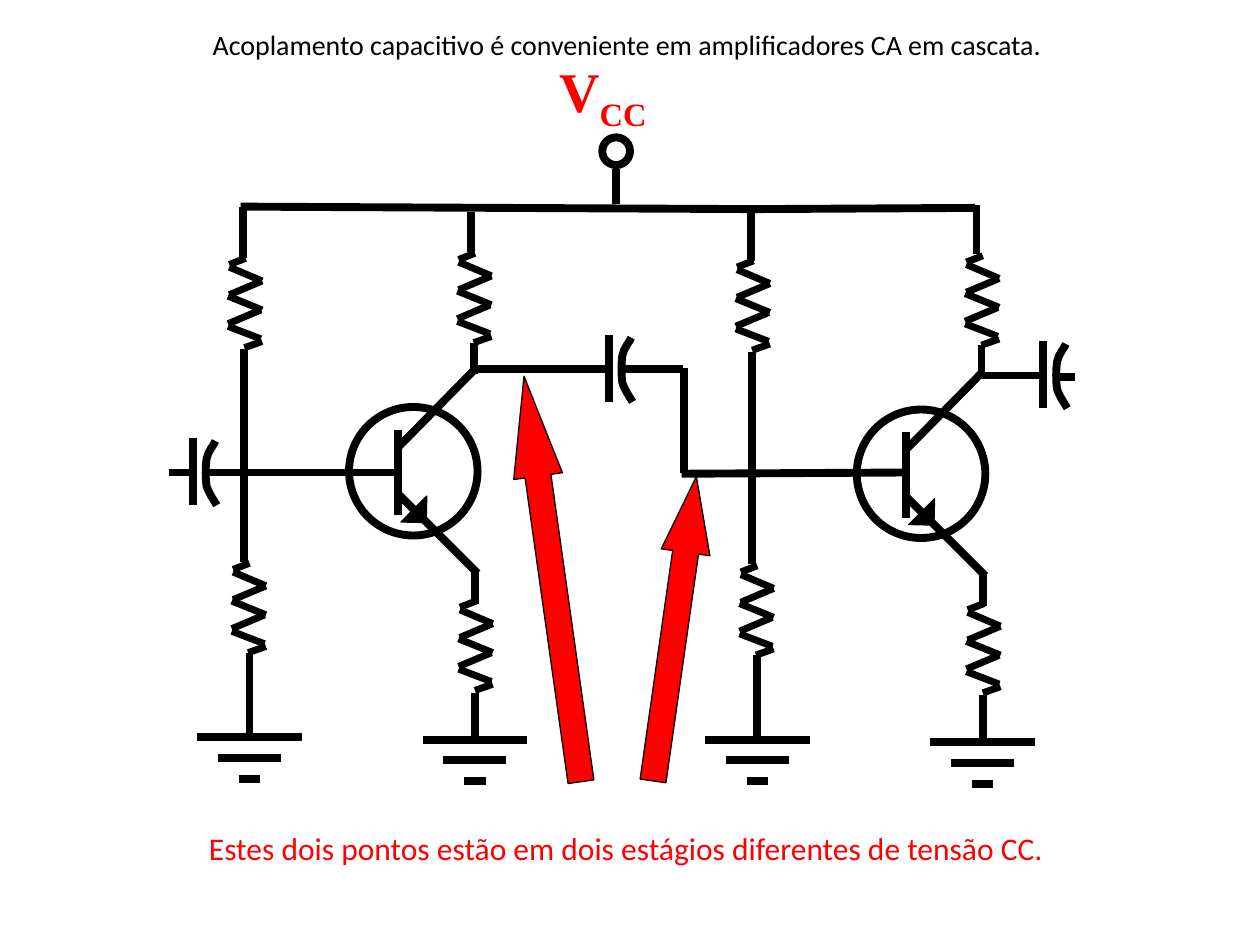
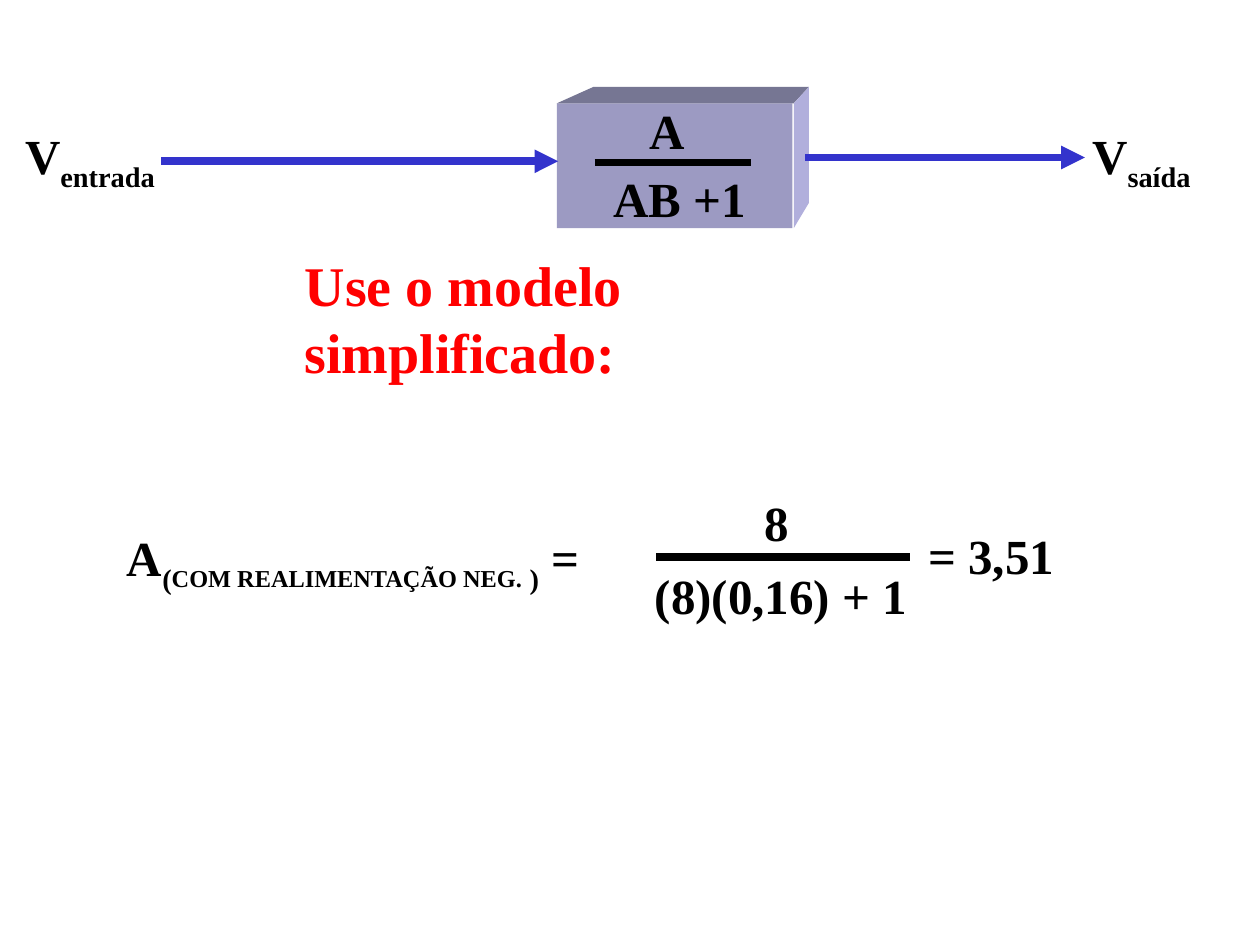
from dataclasses import dataclass
from typing import Any, NamedTuple

import pptx
import pptx.dml.color
import pptx.enum.shapes
import pptx.enum.text
import pptx.oxml.ns
import pptx.util
from lxml import etree
from pptx.util import Inches

COLORS = {
    "ink": "000000",
    "alert": "FF0000",
    "signal": "3333CC",
    "block_front": "9C9AC2",
    "block_top": "767693",
    "block_side": "B1AFDC",
}
WIRE_WIDTH = 4.5
ZIGZAG_WIDTH = 4
OUTLINE_WIDTH = 0.75
STAGE_SHIFT = (4.03, 0.02)
SHAPES = pptx.enum.shapes.MSO_SHAPE
MATH = {"name": "Times New Roman", "size": pptx.util.Pt(28), "bold": True}
HEADING = MATH | {"size": pptx.util.Pt(32)}
CAPTION = {"name": "Calibri", "size": pptx.util.Pt(18)}
INTRO = CAPTION | {"size": pptx.util.Pt(16)}


class Segment(NamedTuple):
    x1: float
    y1: float
    x2: float
    y2: float

    def moved(self, dx: float, dy: float) -> "Segment":
        return Segment(self.x1 + dx, self.y1 + dy, self.x2 + dx, self.y2 + dy)


class Box(NamedTuple):
    left: float
    top: float
    width: float
    height: float

    def moved(self, dx: float, dy: float) -> "Box":
        return Box(self.left + dx, self.top + dy, self.width, self.height)


class Piece(NamedTuple):
    text: str
    baseline: int = 0
    size: float | None = None


@dataclass(frozen=True)
class Label:
    box: Box
    pieces: tuple[Piece, ...]
    style: dict[str, Any]
    color: str = "ink"
    right_margin: float | None = None


@dataclass(frozen=True)
class Pointer:
    box: Box
    rotation: float
    head_ratio: float


RESISTOR = (
    Segment(0.27, 0.18, 0.01, 0.07),
    Segment(0.27, 0.41, 0, 0.3),
    Segment(0.26, 0.64, 0, 0.54),
    Segment(0, 0.52, 0.26, 0.41),
    Segment(0.01, 0.29, 0.27, 0.18),
    Segment(0.01, 0.05, 0.14, 0),
    Segment(0.13, 0.71, 0.27, 0.66),
)
GROUND_WIDTHS = (0.83, 0.5, 0.17)
GROUND_STEP = 0.165
CURVED_PLATE = (
    (0.19, 0.53), (0.18, 0.51), (0.13, 0.44), (0.11, 0.38), (0.1, 0.32),
    (0.1, 0.22), (0.11, 0.16), (0.12, 0.1), (0.17, 0.05), (0.18, 0.02),
)

TRANSISTOR = Box(2.77, 3.23, 1.02, 1.02)
EMITTER_TIP = Box(3.18, 3.94, 0.21, 0.2)
STAGE_RESISTORS = ((3.63, 2.01), (1.81, 2.05), (3.64, 4.77), (1.84, 4.47))
STAGE_GROUNDS = ((3.77, 5.87), (1.98, 5.85))
STAGE_WIRES = (
    Segment(3.17, 3.93, 3.79, 4.55),
    Segment(3.16, 3.55, 3.77, 2.93),
    Segment(3.16, 3.41, 3.16, 4.09),
    Segment(1.94, 2.77, 1.94, 4.46),
    Segment(3.76, 2.72, 3.76, 2.97),
    Segment(3.77, 4.54, 3.77, 4.79),
    Segment(1.98, 5.18, 1.98, 5.85),
    Segment(3.77, 5.5, 3.77, 5.87),
    Segment(1.93, 1.64, 1.93, 2.05),
)
SUPPLY_TERMINAL = Box(4.78, 1.09, 0.22, 0.22)
LINKING_WIRES = (
    Segment(1.91, 1.64, 6.02, 1.66),
    Segment(5.95, 1.66, 7.74, 1.65),
    Segment(3.74, 2, 3.74, 1.68),
    Segment(7.75, 2.02, 7.75, 1.63),
    Segment(4.89, 1.34, 4.89, 1.62),
    Segment(3.13, 3.75, 1.63, 3.75),
    Segment(7.19, 3.75, 5.41, 3.76),
    Segment(4.82, 2.93, 3.74, 2.93),
    Segment(5.42, 2.93, 4.96, 2.93),
    Segment(5.43, 2.92, 5.43, 3.75),
    Segment(7.79, 2.98, 8.26, 2.98),
    Segment(1.34, 3.75, 1.5, 3.75),
    Segment(8.38, 2.99, 8.53, 2.99),
)
CAPACITORS = ((4.83, 2.66), (1.53, 3.48), (8.28, 2.71))
POINTERS = (
    Pointer(Box(4.19, 2.97, 0.39, 3.25), 352, 2.053),
    Pointer(Box(5.16, 3.77, 0.39, 2.44), 8.1, 1.558),
)
CIRCUIT_LABELS = (
    Label(Box(4.34, 0.4, 0.95, 0.58), (Piece("V"), Piece("CC", -25)), HEADING, "alert"),
    Label(
        Box(1.56, 6.53, 7, 0.4),
        (Piece("Estes dois pontos estão em dois estágios diferentes de tensão CC."),),
        CAPTION,
        "alert",
    ),
    Label(
        Box(1.59, 0.17, 6.86, 0.37),
        (Piece("Acoplamento capacitivo é conveniente em amplificadores CA em cascata."),),
        INTRO,
    ),
)

GAIN_BLOCK = Box(4.42, 0.82, 1.87, 0.99)
BLOCK_TOP = ((4.42, 0.82), (4.71, 0.69), (6.42, 0.69), (6.3, 0.82))
BLOCK_SIDE = ((6.3, 0.82), (6.42, 0.69), (6.42, 1.61), (6.3, 1.81))
FRACTION_BARS = (Segment(4.72, 1.29, 5.96, 1.29), Segment(5.21, 4.42, 7.22, 4.42))
SIGNALS = (Segment(1.28, 1.28, 4.43, 1.28), Segment(6.39, 1.25, 8.61, 1.25))
GAIN_LABELS = (
    Label(Box(4.77, 1.29, 1.25, 0.52), (Piece("AB +1"),), MATH),
    Label(Box(5.06, 0.75, 0.48, 0.52), (Piece("A"),), MATH),
    Label(Box(0.1, 0.95, 1.32, 0.57), (Piece("V"), Piece("entrada", -25)), MATH),
    Label(Box(8.57, 0.95, 1.07, 0.57), (Piece("V"), Piece("saída", -25)), MATH),
    Label(
        Box(2.32, 1.94, 5.3, 0.58), (Piece("Use o modelo simplificado:"),), HEADING, "alert", 0.6
    ),
    Label(
        Box(0.91, 4.14, 4.27, 0.52),
        (
            Piece("A"),
            Piece("(", -25),
            Piece("COM REALIMENTAÇÃO NEG.", -25, 24),
            Piece(" )", -25),
            Piece(" ="),
        ),
        MATH,
    ),
    Label(Box(5.97, 3.86, 0.39, 0.52), (Piece("8"),), MATH),
    Label(Box(5.1, 4.44, 2.23, 0.57), (Piece("(8)(0,16) + 1"),), MATH),
    Label(Box(7.27, 4.12, 1.21, 0.57), (Piece("= 3,51"),), MATH),
)


def rgb(color: str) -> pptx.dml.color.RGBColor:
    return pptx.dml.color.RGBColor.from_string(COLORS[color])


def apply_format(target: Any, values: dict[str, Any]) -> None:
    for attribute, value in values.items():
        setattr(target, attribute, value)


def paint(shape: Any, fill: str | None, line: str | None, width: float = WIRE_WIDTH) -> None:
    shape.shadow.inherit = False
    if fill:
        shape.fill.solid()
        shape.fill.fore_color.rgb = rgb(fill)
    else:
        shape.fill.background()
    if line:
        shape.line.color.rgb = rgb(line)
        shape.line.width = pptx.util.Pt(width)
    else:
        shape.line.fill.background()


def draw_shape(slide: Any, kind: Any, box: Box) -> Any:
    return slide.shapes.add_shape(kind, *(Inches(length) for length in box))


def draw_wire(
    slide: Any, segment: Segment, width: float = WIRE_WIDTH, color: str = "ink", arrow: bool = False
) -> None:
    wire = slide.shapes.add_connector(
        pptx.enum.shapes.MSO_CONNECTOR.STRAIGHT, *(Inches(length) for length in segment)
    )
    wire.line.color.rgb = rgb(color)
    wire.line.width = pptx.util.Pt(width)
    if arrow:
        tail = etree.SubElement(wire.line._get_or_add_ln(), pptx.oxml.ns.qn("a:tailEnd"))
        tail.set("type", "triangle")
    etree.SubElement(wire._element.spPr, pptx.oxml.ns.qn("a:effectLst"))


def draw_outline(slide: Any, points: tuple, close: bool, dx: float = 0, dy: float = 0) -> Any:
    corners = [(Inches(x + dx), Inches(y + dy)) for x, y in points]
    builder = slide.shapes.build_freeform(*corners[0])
    builder.add_line_segments(corners[1:], close=close)
    return builder.convert_to_shape()


def draw_resistor(slide: Any, left: float, top: float) -> None:
    for segment in RESISTOR:
        draw_wire(slide, segment.moved(left, top), ZIGZAG_WIDTH)


def draw_ground(slide: Any, center: float, top: float) -> None:
    for row, width in enumerate(GROUND_WIDTHS):
        y = top + row * GROUND_STEP
        draw_wire(slide, Segment(center - width / 2, y, center + width / 2, y))


def draw_capacitor(slide: Any, left: float, top: float) -> None:
    draw_wire(slide, Segment(left, top, left, top + 0.53))
    plate = draw_outline(slide, CURVED_PLATE, False, left, top)
    paint(plate, None, "ink")
    qn = pptx.oxml.ns.qn
    contour = next(plate._element.iter(qn("a:path")))
    steps = contour.findall(qn("a:lnTo"))
    for first in range(0, len(steps), 3):
        curve = etree.SubElement(contour, qn("a:cubicBezTo"))
        for step in steps[first:first + 3]:
            curve.append(step[0])
            contour.remove(step)


def draw_label(slide: Any, label: Label) -> None:
    frame = slide.shapes.add_textbox(*(Inches(length) for length in label.box)).text_frame
    frame.word_wrap = label.right_margin is not None
    frame.auto_size = pptx.enum.text.MSO_AUTO_SIZE.SHAPE_TO_FIT_TEXT
    if label.right_margin is not None:
        frame.margin_right = Inches(label.right_margin)
    for piece in label.pieces:
        run = frame.paragraphs[0].add_run()
        run.text = piece.text
        apply_format(run.font, label.style)
        run.font.color.rgb = rgb(label.color)
        if piece.size:
            run.font.size = pptx.util.Pt(piece.size)
        if piece.baseline:
            run._r.get_or_add_rPr().set("baseline", str(piece.baseline * 1000))


def draw_stage(slide: Any, dx: float, dy: float) -> None:
    paint(draw_shape(slide, SHAPES.OVAL, TRANSISTOR.moved(dx, dy)), None, "ink")
    tip = draw_shape(slide, SHAPES.RIGHT_TRIANGLE, EMITTER_TIP.moved(dx, dy))
    tip.rotation = 271.3
    paint(tip, "ink", "ink", OUTLINE_WIDTH)
    for wire in STAGE_WIRES:
        draw_wire(slide, wire.moved(dx, dy))
    for left, top in STAGE_RESISTORS:
        draw_resistor(slide, left + dx, top + dy)
    for center, top in STAGE_GROUNDS:
        draw_ground(slide, center + dx, top + dy)


def build_cascade(slide: Any) -> None:
    for shift in ((0, 0), STAGE_SHIFT):
        draw_stage(slide, *shift)
    paint(draw_shape(slide, SHAPES.OVAL, SUPPLY_TERMINAL), None, "ink")
    for wire in LINKING_WIRES:
        draw_wire(slide, wire)
    for left, top in CAPACITORS:
        draw_capacitor(slide, left, top)
    for label in CIRCUIT_LABELS:
        draw_label(slide, label)
    for pointer in POINTERS:
        arrow = draw_shape(slide, SHAPES.UP_ARROW, pointer.box)
        arrow.rotation = pointer.rotation
        arrow.adjustments[0] = 0.531
        arrow.adjustments[1] = pointer.head_ratio
        paint(arrow, "alert", "ink", OUTLINE_WIDTH)


def build_gain(slide: Any) -> None:
    paint(draw_shape(slide, SHAPES.RECTANGLE, GAIN_BLOCK), "block_front", None)
    for face, color in ((BLOCK_TOP, "block_top"), (BLOCK_SIDE, "block_side")):
        paint(draw_outline(slide, face, True), color, None)
    for bar in FRACTION_BARS:
        draw_wire(slide, bar)
    for signal in SIGNALS:
        draw_wire(slide, signal, color="signal", arrow=True)
    for label in GAIN_LABELS:
        draw_label(slide, label)


def main() -> None:
    deck = pptx.Presentation()
    apply_format(deck, {"slide_width": Inches(10), "slide_height": Inches(7.5)})
    for build in (build_cascade, build_gain):
        build(deck.slides.add_slide(deck.slide_layouts[6]))
    deck.save("out.pptx")


if __name__ == "__main__":
    main()
